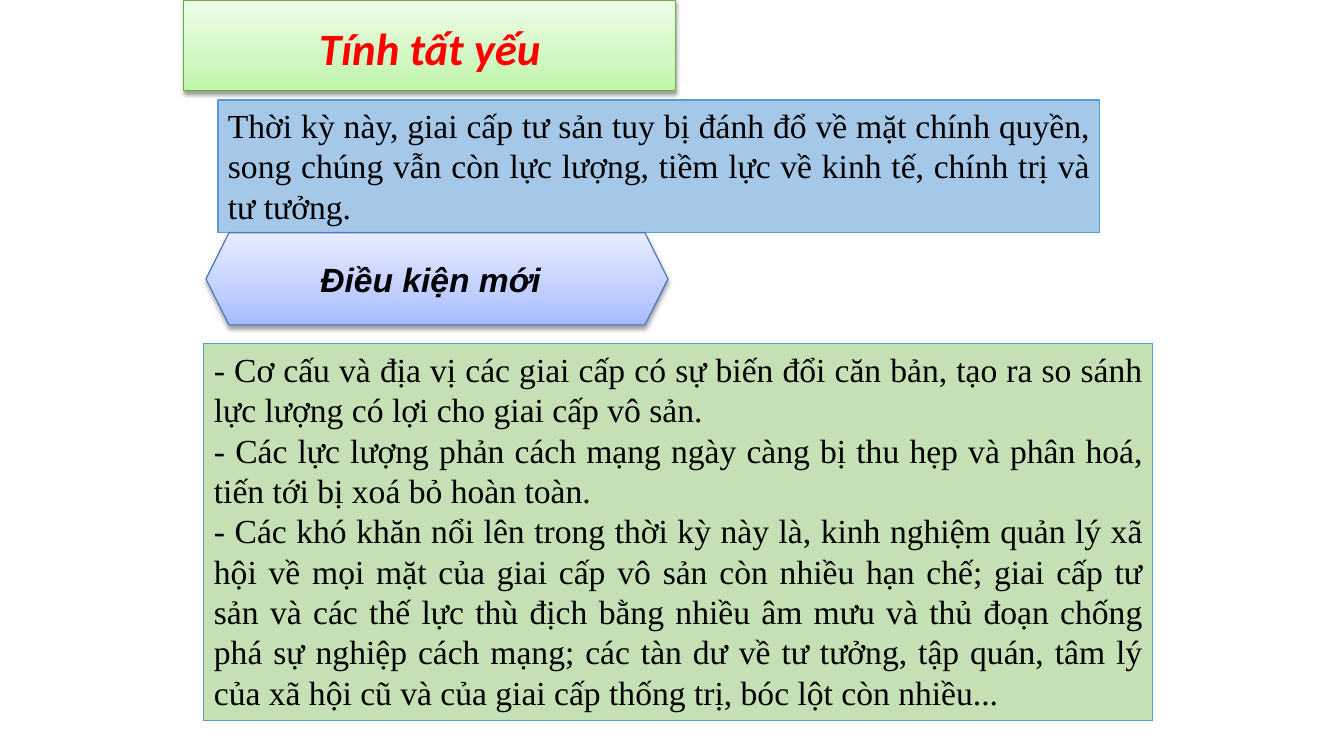
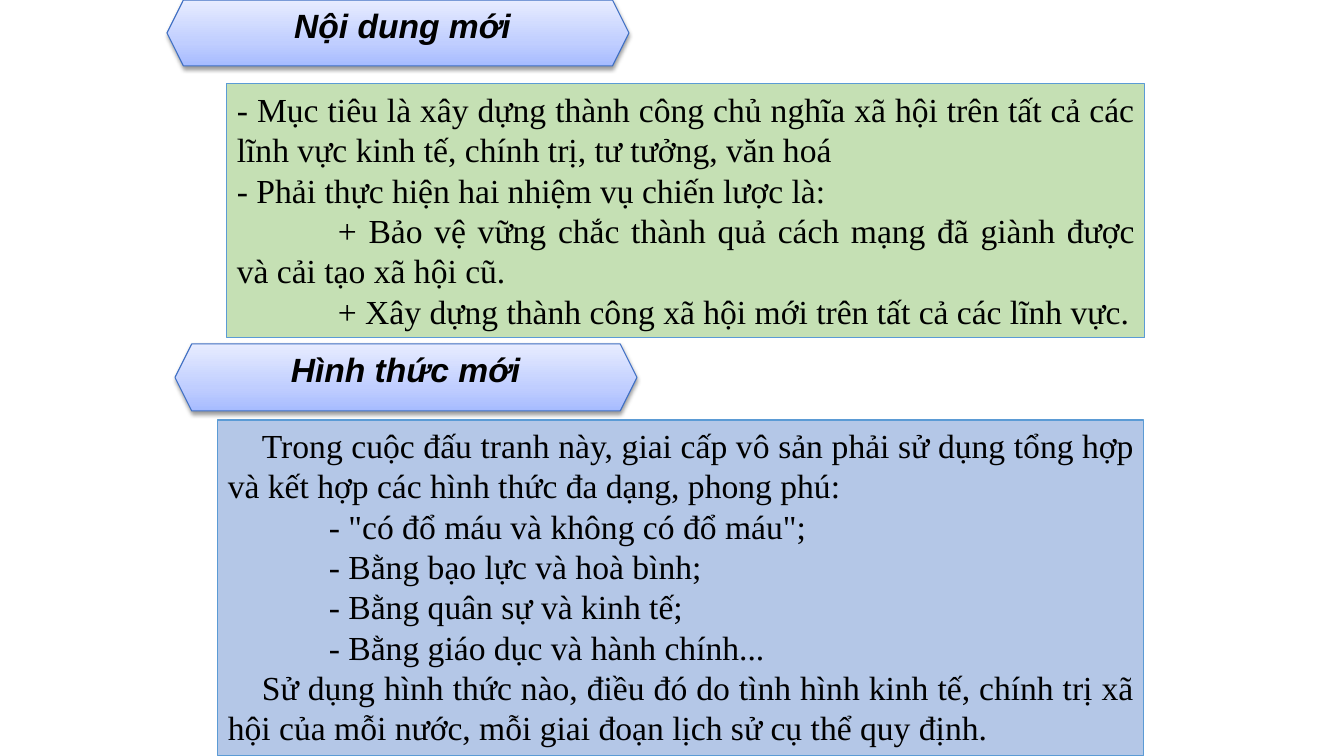
from pptx import Presentation
from pptx.dml.color import RGBColor
from pptx.enum.shapes import MSO_SHAPE as Kind
from pptx.enum.text import MSO_ANCHOR as Anchor, MSO_AUTO_SIZE as Fit, PP_ALIGN as Align
from pptx.oxml import parse_xml
from pptx.oxml.ns import nsdecls, qn
from pptx.util import Pt

PX = 914400 / 100.8
BLACK = RGBColor(0x00, 0x00, 0x00)
RED = RGBColor(0xFF, 0x00, 0x00)
SKY = RGBColor(0x9D, 0xC3, 0xE6)
SAGE = RGBColor(0xC5, 0xE0, 0xB4)
STEEL = RGBColor(0xB4, 0xC7, 0xE7)
EDGE = RGBColor(0x5B, 0x9B, 0xD5)
LEAF = RGBColor(0x6D, 0xAC, 0x43)
NAVY = RGBColor(0x3F, 0x6F, 0xC3)
GREENS = [RGBColor(0xBE, 0xF5, 0xA7), RGBColor(0xD1, 0xF7, 0xC2), RGBColor(0xED, 0xFD, 0xE7)]
BLUES = [RGBColor(0xA6, 0xBB, 0xFF), RGBColor(0xC0, 0xCE, 0xFF), RGBColor(0xE7, 0xEC, 0xFF)]
STOPS = [0, 35, 100]
TAB, STEP = 101, 34


def shape(slide, kind, box, fill, edge):
    """Add a preset shape; a list of colours as fill gives a shaded shape with a shadow."""
    item = slide.shapes.add_shape(kind, *(round(n * PX) for n in box))
    item.shadow.inherit = False
    item.line.color.rgb = edge
    item.line.width = Pt(0.75)
    if not isinstance(fill, list):
        item.fill.solid()
        item.fill.fore_color.rgb = fill
        return item
    props = item.element.spPr
    stops = "".join(f'<a:gs pos="{pos * 1000}"><a:srgbClr val="{tone}"/></a:gs>'
                    for pos, tone in zip(STOPS, fill))
    props.insert(2, parse_xml(
        f'<a:gradFill {nsdecls("a")} rotWithShape="1"><a:gsLst>{stops}</a:gsLst>'
        '<a:lin ang="16200000" scaled="0"/></a:gradFill>'))
    props.find(qn("a:effectLst")).append(parse_xml(
        f'<a:outerShdw {nsdecls("a")} blurRad="40000" dist="20000" dir="5400000" rotWithShape="0">'
        '<a:srgbClr val="000000"><a:alpha val="38000"/></a:srgbClr></a:outerShdw>'))
    return item


def write(item, rows, font="Times New Roman", size=24, color=BLACK, strong=False,
          align=Align.JUSTIFY, anchor=Anchor.TOP, fit=Fit.SHAPE_TO_FIT_TEXT):
    """Fill a shape with rows of (first-line indent in px, text)."""
    frame = item.text_frame
    frame.word_wrap = True
    frame.auto_size = fit
    frame.vertical_anchor = anchor
    for i, (indent, text) in enumerate(rows):
        para = frame.add_paragraph() if i else frame.paragraphs[0]
        para.alignment = align
        if indent:
            para._p.get_or_add_pPr().set("indent", str(round(indent * PX)))
        run = para.add_run()
        run.text = text
        run.font.name = font
        run.font.size = Pt(size)
        run.font.color.rgb = color
        run.font.bold = run.font.italic = strong


deck = Presentation()
deck.slide_width = round(1344 * PX)
deck.slide_height = round(756 * PX)
need, news = (deck.slides.add_slide(deck.slide_layouts[6]) for _ in range(2))

# Opening statement and title
intro = shape(need, Kind.RECTANGLE, (218, 100, 882, 133), SKY, EDGE)
tint = intro.element.spPr.find(qn("a:solidFill"))[0]
tint.append(parse_xml(f'<a:alpha {nsdecls("a")} val="91000"/>'))
write(intro, [(0, "Thời kỳ này, giai cấp tư sản tuy bị đánh đổ về mặt chính quyền, "
                  "song chúng vẫn còn lực lượng, tiềm lực về kinh tế, chính trị và tư tưởng.")])

title = shape(need, Kind.RECTANGLE, (184, 0, 492, 91), GREENS, LEAF)
title.text_frame.margin_top = round(9 * PX)
write(title, [(0, "Tính tất yếu")], font="Calibri", size=32, color=RED, strong=True,
      align=Align.CENTER, anchor=Anchor.MIDDLE, fit=Fit.NONE)

# Section headings: hexagon, then label
heads = [
    (need, (206, 233, 462, 92), (225, 254), "Điều kiện mới"),
    (news, (167, 0, 462, 66), (197, 0), "Nội dung mới"),
    (news, (175, 344, 462, 67), (200, 344), "Hình thức mới"),
]
for slide, box, spot, text in heads:
    shape(slide, Kind.HEXAGON, box, BLUES, NAVY)
    label = slide.shapes.add_textbox(*(round(n * PX) for n in (*spot, 411, 51)))
    write(label, [(0, text)], font="Arial", strong=True, align=Align.CENTER)

# Text panels
panels = [
    (need, (204, 344, 949, 377), SAGE, [
        (0, "- Cơ cấu và địa vị các giai cấp có sự biến đổi căn bản, tạo ra so sánh "
            "lực lượng có lợi cho giai cấp vô sản."),
        (0, "- Các lực lượng phản cách mạng ngày càng bị thu hẹp và phân hoá, "
            "tiến tới bị xoá bỏ hoàn toàn."),
        (0, "- Các khó khăn nổi lên trong thời kỳ này là, kinh nghiệm quản lý xã hội "
            "về mọi mặt của giai cấp vô sản còn nhiều hạn chế; giai cấp tư sản và các "
            "thế lực thù địch bằng nhiều âm mưu và thủ đoạn chống phá sự nghiệp cách "
            "mạng; các tàn dư về tư tưởng, tập quán, tâm lý của xã hội cũ và của giai "
            "cấp thống trị, bóc lột còn nhiều..."),
    ]),
    (news, (227, 84, 918, 254), SAGE, [
        (0, "- Mục tiêu là xây dựng thành công chủ nghĩa xã hội trên tất cả các "
            "lĩnh vực kinh tế, chính trị, tư tưởng, văn hoá"),
        (0, "- Phải thực hiện hai nhiệm vụ chiến lược là:"),
        (TAB, "+ Bảo vệ vững chắc thành quả cách mạng đã giành được và cải tạo xã hội cũ."),
        (TAB, "+ Xây dựng thành công xã hội mới trên tất cả các lĩnh vực."),
    ]),
    (news, (218, 420, 926, 336), STEEL, [
        (STEP, "Trong cuộc đấu tranh này, giai cấp vô sản phải sử dụng tổng hợp "
               "và kết hợp các hình thức đa dạng, phong phú:"),
        (TAB, '- "có đổ máu và không có đổ máu";'),
        (TAB, "- Bằng bạo lực và hoà bình;"),
        (TAB, "- Bằng quân sự và kinh tế;"),
        (TAB, "- Bằng giáo dục và hành chính..."),
        (STEP, "Sử dụng hình thức nào, điều đó do tình hình kinh tế, chính trị xã hội "
               "của mỗi nước, mỗi giai đoạn lịch sử cụ thể quy định."),
    ]),
]
for slide, box, fill, rows in panels:
    write(shape(slide, Kind.RECTANGLE, box, fill, EDGE), rows)

deck.save("out.pptx")
